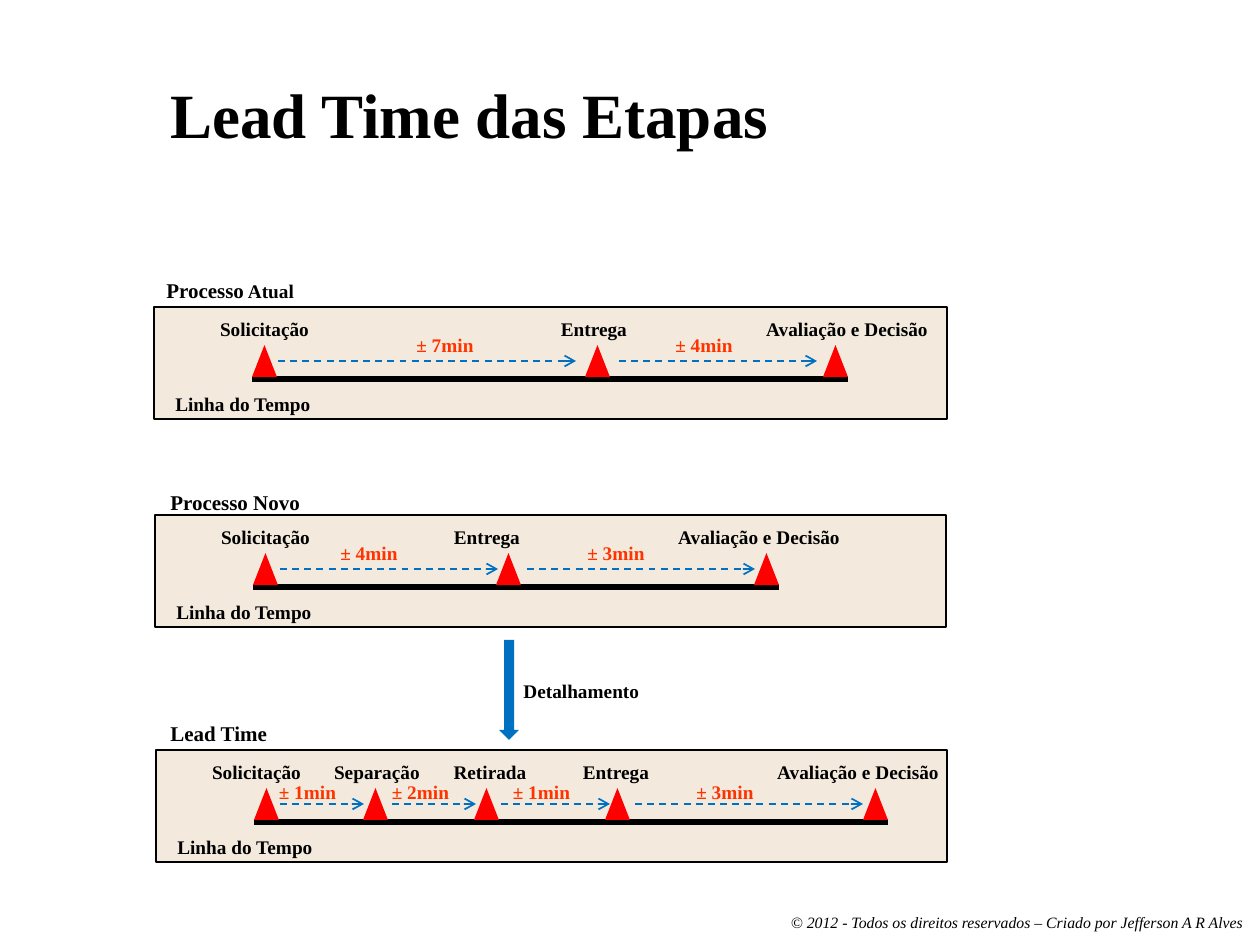
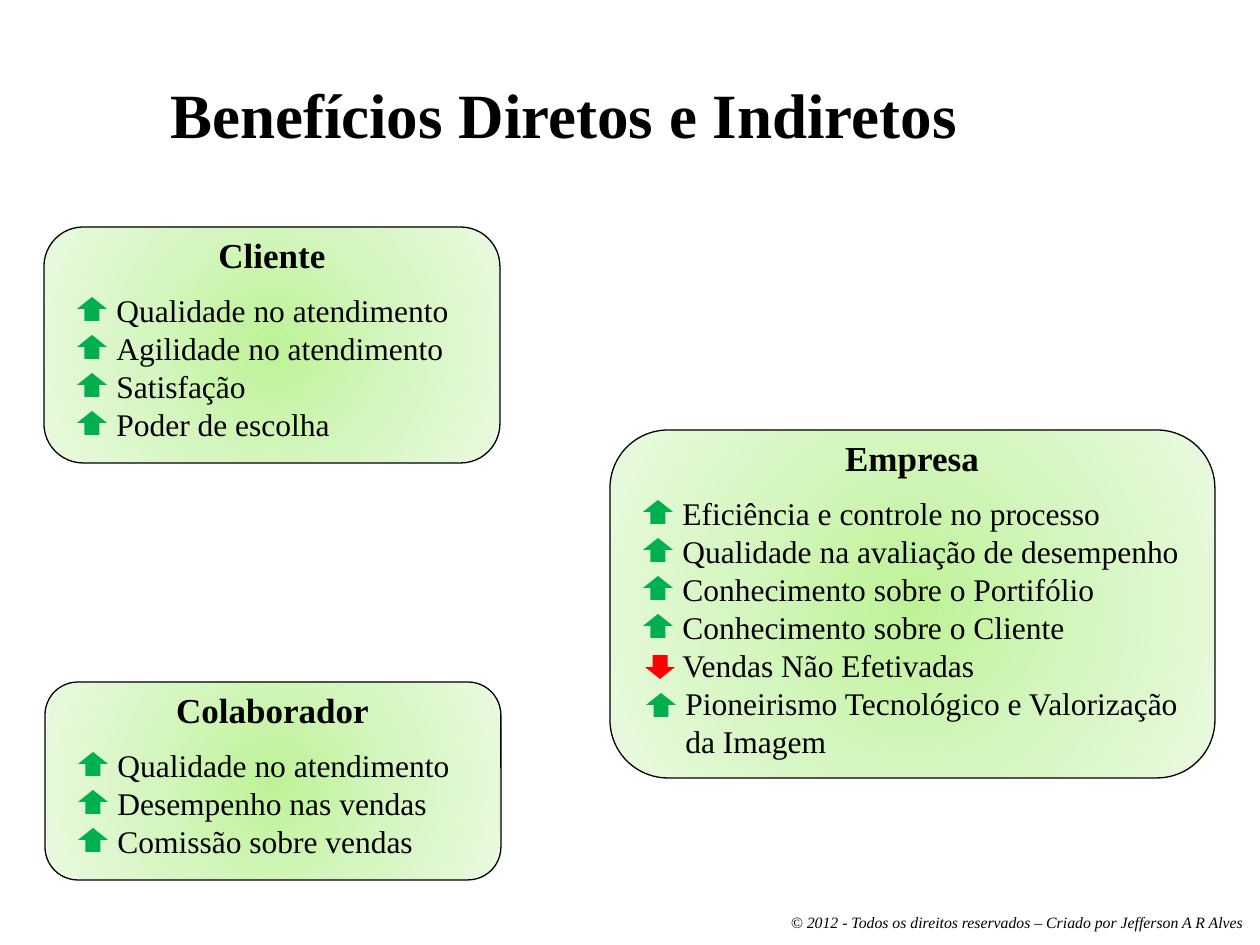
from dataclasses import dataclass
from typing import NamedTuple

from pptx import Presentation
from pptx import util as u
from pptx.dml.color import RGBColor
from pptx.enum import dml, shapes, text
from pptx.oxml import parse_xml
from pptx.oxml.ns import nsdecls, qn

# Scale, colours and font
SCALE = 914400 / 126
FONT = "Times New Roman"
BLACK = RGBColor(0x00, 0x00, 0x00)
SAND = RGBColor(0xF3, 0xEA, 0xDD)
RED = RGBColor(0xFF, 0x00, 0x00)
ORANGE = RGBColor(0xFF, 0x33, 0x00)
BLUE = RGBColor(0x00, 0x70, 0xC0)
GREEN = RGBColor(0x00, 0xB0, 0x50)
GLOW = [(0, RGBColor(0xBE, 0xF2, 0x97)), (50, RGBColor(0xD5, 0xF6, 0xC0)),
        (100, RGBColor(0xEA, 0xFA, 0xE0))]
KIND = shapes.MSO_SHAPE
ALIGN = text.PP_ALIGN


class Box(NamedTuple):
    x: int
    y: int
    w: int
    h: int


class Stage(NamedTuple):
    name: str
    mark: int  # left edge of the triangle
    x: int     # left edge of the label
    w: int = 150


class Span(NamedTuple):
    time: str
    start: int
    end: int
    x: int  # left edge of the label
    w: int = 150


@dataclass
class Lane:
    title: str
    head: tuple[int, int]
    box: Box
    stages: list[Stage]
    spans: list[Span]
    tail: str = ""
    drop: int = 20  # from box top to the times


class Gain(NamedTuple):
    name: str
    up: bool = True
    dx: int = 0   # shift of the arrow
    dy: int = 0
    pad: int = 0  # shift of the text
    h: int = 50


@dataclass
class Card:
    title: str
    box: Box
    head: int  # width of the title box
    width: int
    gains: list[Gain]


def px(n: float) -> u.Emu:
    return u.Emu(round(n * SCALE))


def write(sld, box: Box, txt: str, *, size: int = 11, bold: bool = False,
          slant: bool = False, color: RGBColor = BLACK, align=ALIGN.LEFT,
          anchor=text.MSO_ANCHOR.TOP, tail: str = "") -> None:
    """Place text; the tail is a second run at 11 points."""
    frame = sld.shapes.add_textbox(*map(px, box)).text_frame
    frame.word_wrap = True
    frame.vertical_anchor = anchor
    par = frame.paragraphs[0]
    par.alignment = align
    for part, pts in ((txt, size), (tail, 11)):
        if part:
            run = par.add_run()
            run.text = part
            font = run.font
            font.name, font.size = FONT, u.Pt(pts)
            font.bold, font.italic = bold, slant
            font.color.rgb = color


def draw(sld, kind, box: Box, *, fill: RGBColor | None = None,
         edge: bool = False, turn: int = 0) -> None:
    """Draw a preset shape; without a fill colour it gets the green glow."""
    shp = sld.shapes.add_shape(kind, *map(px, box))
    shp.shadow.inherit = False
    shp.rotation = turn
    if fill is None:
        stops = "".join(f'<a:gs pos="{pos * 1000}"><a:srgbClr val="{rgb}"/></a:gs>'
                        for pos, rgb in GLOW)
        shp._element.spPr.insert(2, parse_xml(
            f'<a:gradFill {nsdecls("a")} rotWithShape="1"><a:gsLst>{stops}</a:gsLst>'
            '<a:path path="circle"><a:fillToRect l="50000" t="50000" r="50000" '
            'b="50000"/></a:path></a:gradFill>'))
    else:
        shp.fill.solid()
        shp.fill.fore_color.rgb = fill
    if edge:
        shp.line.color.rgb = BLACK
        shp.line.width = u.Pt(0.75)
    else:
        shp.line.fill.background()


def rule(sld, x1: int, x2: int, y: int, color: RGBColor, width: int,
         arrow: bool = False) -> None:
    """Draw a level line, or a dashed arrow."""
    line = sld.shapes.add_connector(shapes.MSO_CONNECTOR.STRAIGHT,
                                    px(x1), px(y), px(x2), px(y))
    line.line.color.rgb = color
    line.line.width = u.Pt(width)
    if arrow:
        line.line.dash_style = dml.MSO_LINE.DASH
        end = line.line._ln.makeelement(qn("a:tailEnd"), {"type": "arrow"})
        line.line._ln.append(end)
    props = line._element.spPr
    props.append(props.makeelement(qn("a:effectLst"), {}))


def start(deck, title: str):
    """Add a slide with its footer and title."""
    sld = deck.slides.add_slide(deck.slide_layouts[6])
    write(sld, Box(223, 907, 1032, 32),
          "© 2012 - Todos os direitos reservados – Criado por Jefferson A R Alves",
          size=9, slant=True, align=ALIGN.RIGHT)
    write(sld, Box(158, 10, 935, 147), title, size=36, bold=True,
          anchor=text.MSO_ANCHOR.BOTTOM)
    return sld


def show_lane(sld, lane: Lane) -> None:
    x, y = lane.box.x, lane.box.y
    marks = [stage.mark for stage in lane.stages]
    write(sld, Box(*lane.head, 170, 38), lane.title, size=12, bold=True,
          tail=lane.tail)
    draw(sld, KIND.RECTANGLE, lane.box, fill=SAND, edge=True)
    rule(sld, marks[0], marks[-1] + 25, y + 72, BLACK, 3)
    write(sld, Box(x, y + 79, 178, 37), "Linha do Tempo", bold=True,
          align=ALIGN.CENTER)
    for stage in lane.stages:
        draw(sld, KIND.ISOSCELES_TRIANGLE, Box(stage.mark, y + 38, 25, 32), fill=RED)
        write(sld, Box(stage.x, y + 4, stage.w, 37), stage.name, bold=True,
              align=ALIGN.CENTER)
    for span in lane.spans:
        rule(sld, span.start, span.end, y + 54, BLUE, 1, arrow=True)
        write(sld, Box(span.x, y + lane.drop, span.w, 37), span.time, bold=True,
              color=ORANGE, align=ALIGN.CENTER)


def show_card(sld, card: Card) -> None:
    x, y, w, _ = card.box
    draw(sld, KIND.ROUNDED_RECTANGLE, card.box, edge=True)
    write(sld, Box(x + (w - card.head) // 2, y, card.head, 55), card.title,
          size=20, bold=True, align=ALIGN.CENTER)
    for row, gain in enumerate(card.gains):
        top = y + 58 + 38 * row
        draw(sld, KIND.UP_ARROW, Box(x + 33 + gain.dx, top + 12 + gain.dy, 30, 24),
             fill=GREEN if gain.up else RED, turn=0 if gain.up else 180)
        write(sld, Box(x + 60 + gain.pad, top, card.width, gain.h), gain.name, size=18)


# Contents
ASK, GIVE, JUDGE = "Solicitação ", "Entrega", "Avaliação e Decisão"
LANES = [
    Lane("Processo", (154, 271), Box(154, 307, 793, 112),
         [Stage(ASK, 252, 192), Stage(GIVE, 585, 519), Stage(JUDGE, 823, 748, 198)],
         [Span("± 7min", 278, 576, 370), Span("± 4min", 619, 817, 629)],
         tail=" Atual"),
    Lane("Processo Novo", (158, 483), Box(155, 515, 791, 112),
         [Stage(ASK, 253, 193), Stage(GIVE, 496, 412), Stage(JUDGE, 754, 660, 198)],
         [Span("± 4min", 280, 498, 294), Span("± 3min", 527, 755, 541)]),
    Lane("Lead Time", (158, 714), Box(156, 750, 791, 112),
         [Stage(ASK, 254, 184), Stage("Separação", 363, 302),
          Stage("Retirada", 474, 415), Stage(GIVE, 605, 541),
          Stage(JUDGE, 863, 759, 198)],
         [Span("± 1min", 280, 364, 257, 101), Span("± 2min", 392, 476, 370, 101),
          Span("± 1min", 501, 610, 491, 101), Span("± 3min", 635, 863, 650)],
         drop=24),
]
CARDS = [
    Card("Cliente", Box(44, 227, 456, 236), 238, 377,
         [Gain("Qualidade no atendimento"), Gain("Agilidade no atendimento"),
          Gain("Satisfação"), Gain("Poder de escolha")]),
    Card("Empresa", Box(610, 430, 605, 348), 316, 525,
         [Gain("Eficiência e controle no processo"),
          Gain("Qualidade na avaliação de desempenho"),
          Gain("Conhecimento sobre o Portifólio"),
          Gain("Conhecimento sobre o Cliente"),
          Gain("Vendas Não Efetivadas", up=False, dx=2, dy=3),
          Gain("Pioneirismo Tecnológico e Valorização da Imagem",
               dx=3, dy=3, pad=3, h=89)]),
    Card("Colaborador", Box(45, 682, 456, 198), 277, 377,
         [Gain("Qualidade no atendimento"), Gain("Desempenho nas vendas"),
          Gain("Comissão sobre vendas")]),
]


def main() -> None:
    deck = Presentation()
    deck.slide_width, deck.slide_height = px(1260), px(945)

    # Lead time
    sld = start(deck, "Lead Time das Etapas")
    for lane in LANES:
        show_lane(sld, lane)
    draw(sld, KIND.RIGHT_ARROW, Box(459, 680, 100, 20), fill=BLUE, turn=90)
    write(sld, Box(511, 673, 155, 37), "Detalhamento", bold=True)

    # Benefits
    sld = start(deck, "Benefícios Diretos e Indiretos")
    for card in CARDS:
        show_card(sld, card)

    deck.save("out.pptx")


if __name__ == "__main__":
    main()
